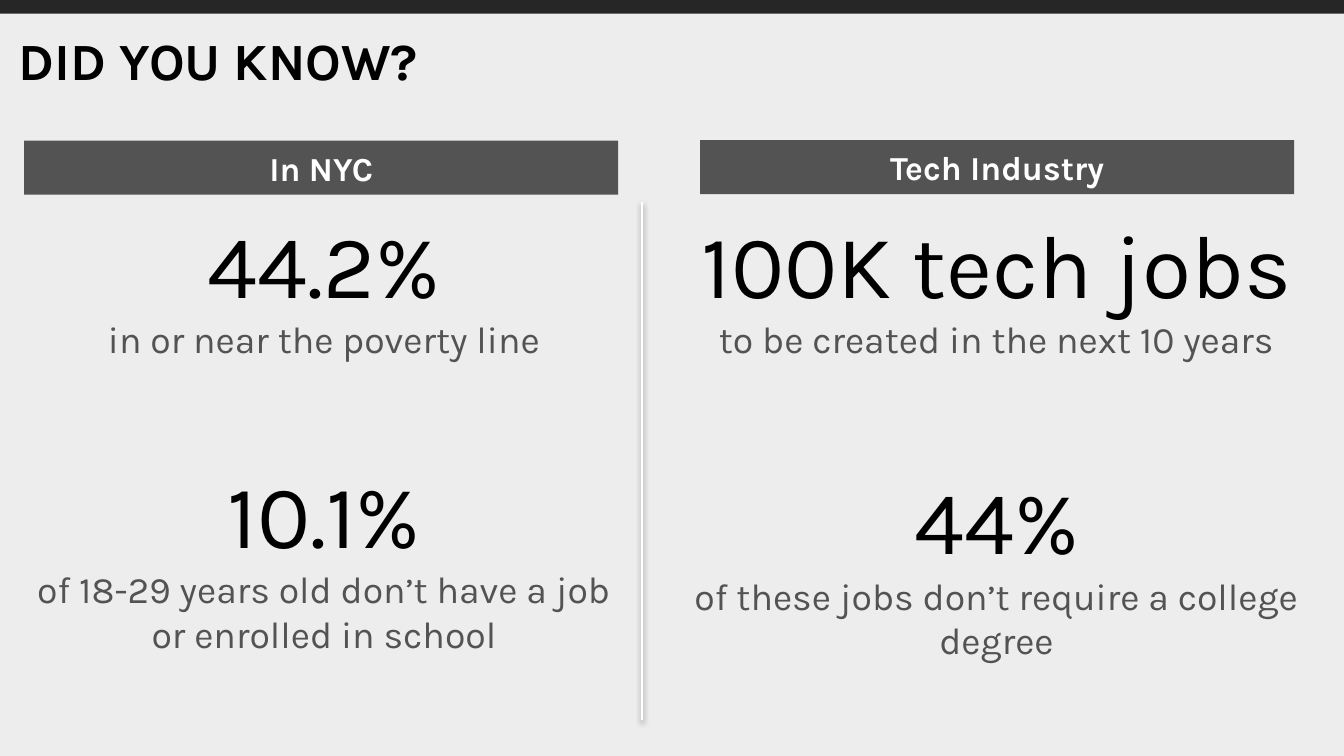
from dataclasses import dataclass

from lxml import etree
from pptx import Presentation
from pptx.dml.color import RGBColor
from pptx.enum.shapes import MSO_CONNECTOR, MSO_SHAPE
from pptx.enum.text import MSO_ANCHOR, MSO_AUTO_SIZE, PP_ALIGN
from pptx.oxml.ns import qn
from pptx.util import Inches, Pt

RECT = MSO_SHAPE.RECTANGLE
LINE = MSO_CONNECTOR.STRAIGHT
TOP, MIDDLE = MSO_ANCHOR.TOP, MSO_ANCHOR.MIDDLE
LEFT, CENTER = PP_ALIGN.LEFT, PP_ALIGN.CENTER
NO_FIT = MSO_AUTO_SIZE.NONE

FONT = "Karla"
COLORS = {
    "page": "EDEDED",
    "band": "262626",
    "gray": "535353",
    "black": "000000",
    "white": "FFFFFF",
}
WIDTH = Inches(10)
HEIGHT = WIDTH * 9 // 16
# The slide is a grid of 100 columns and 100 rows.
COL, ROW = WIDTH / 100, HEIGHT / 100


@dataclass
class Box:
    """A place in grid columns and rows."""
    x: float
    y: float
    w: float
    h: float

    def emu(self) -> tuple:
        return (round(self.x * COL), round(self.y * ROW),
                round(self.w * COL), round(self.h * ROW))


@dataclass
class Fact:
    box: Box
    figure: str
    note: str


@dataclass
class Topic:
    box: Box
    name: str
    facts: list


TOPICS = [
    Topic(Box(1.8, 18.62, 44.2, 7.15), "In NYC", [
        Fact(Box(0.87, 25.85, 46.5, 26.84), "44.2%",
             "in or near the poverty line"),
        Fact(Box(0.87, 58.92, 46.5, 33.24), "10.1%",
             "of 18-29 years old don’t have a job or enrolled in school"),
    ]),
    Topic(Box(52.1, 18.53, 44.2, 7.15), "Tech Industry", [
        Fact(Box(48.4, 25.85, 51.5, 26.84), "100K tech jobs",
             "to be created in the next 10 years"),
        Fact(Box(48.4, 59.77, 51.5, 26.84), "44%",
             "of these jobs don’t require a college degree"),
    ]),
]


def rgb(name: str) -> RGBColor:
    return RGBColor.from_string(COLORS[name])


def style(para, text: str, size: int, color: str, bold=False, align=CENTER):
    para.text = text
    para.alignment = align
    font = para.font
    font.name, font.size, font.bold = FONT, Pt(size), bold
    font.color.rgb = rgb(color)


def set_frame(frame, inset: float, anchor):
    frame.word_wrap = True
    frame.auto_size = NO_FIT
    frame.vertical_anchor = anchor
    frame.margin_left = frame.margin_right = Inches(inset)
    frame.margin_top = frame.margin_bottom = Inches(inset)


def add_title(slide, box: Box, text: str):
    title = slide.shapes.title
    title.left, title.top, title.width, title.height = box.emu()
    set_frame(title.text_frame, 0.05, TOP)
    style(title.text_frame.paragraphs[0], text, 28, "black", True, LEFT)


def add_bar(slide, box: Box, color: str):
    bar = slide.shapes.add_shape(RECT, *box.emu())
    bar.shadow.inherit = False
    bar.fill.solid()
    bar.fill.fore_color.rgb = rgb(color)
    bar.line.fill.background()
    return bar


def add_rule(slide, x: float, top: float, end: float):
    """Draw the upright divider with its soft shadow below."""
    rule = slide.shapes.add_connector(
        LINE, round(x * COL), round(top * ROW), round(x * COL), round(end * ROW))
    rule.line.color.rgb = rgb("white")
    rule.line.width = Pt(1)
    effects = etree.SubElement(rule._element.spPr, qn("a:effectLst"))
    shade = etree.SubElement(
        effects, qn("a:outerShdw"), blurRad=str(Pt(3)), dist=str(Pt(1.6)),
        dir="5400000", rotWithShape="0")
    tint = etree.SubElement(shade, qn("a:srgbClr"), val=COLORS["black"])
    etree.SubElement(tint, qn("a:alpha"), val="38000")


def add_fact(slide, fact: Fact):
    frame = slide.shapes.add_textbox(*fact.box.emu()).text_frame
    set_frame(frame, 0.1, TOP)
    style(frame.paragraphs[0], fact.figure, 48, "black")
    style(frame.add_paragraph(), fact.note, 20, "gray")


def add_topic(slide, topic: Topic):
    for fact in topic.facts:
        add_fact(slide, fact)
    frame = add_bar(slide, topic.box, "gray").text_frame
    set_frame(frame, 0.05, MIDDLE)
    style(frame.paragraphs[0], topic.name, 18, "white", True)


def main():
    deck = Presentation()
    deck.slide_width, deck.slide_height = WIDTH, HEIGHT
    slide = deck.slides.add_slide(deck.slide_layouts[5])
    slide.background.fill.solid()
    slide.background.fill.fore_color.rgb = rgb("page")
    add_title(slide, Box(0.9, 2.8, 41.2, 10.13), "DID YOU KNOW?")
    add_rule(slide, 47.74, 26.7, 95.3)
    add_bar(slide, Box(-0.1, 0, 100.1, 1.8), "band")
    for topic in TOPICS:
        add_topic(slide, topic)
    deck.save("out.pptx")


if __name__ == "__main__":
    main()
